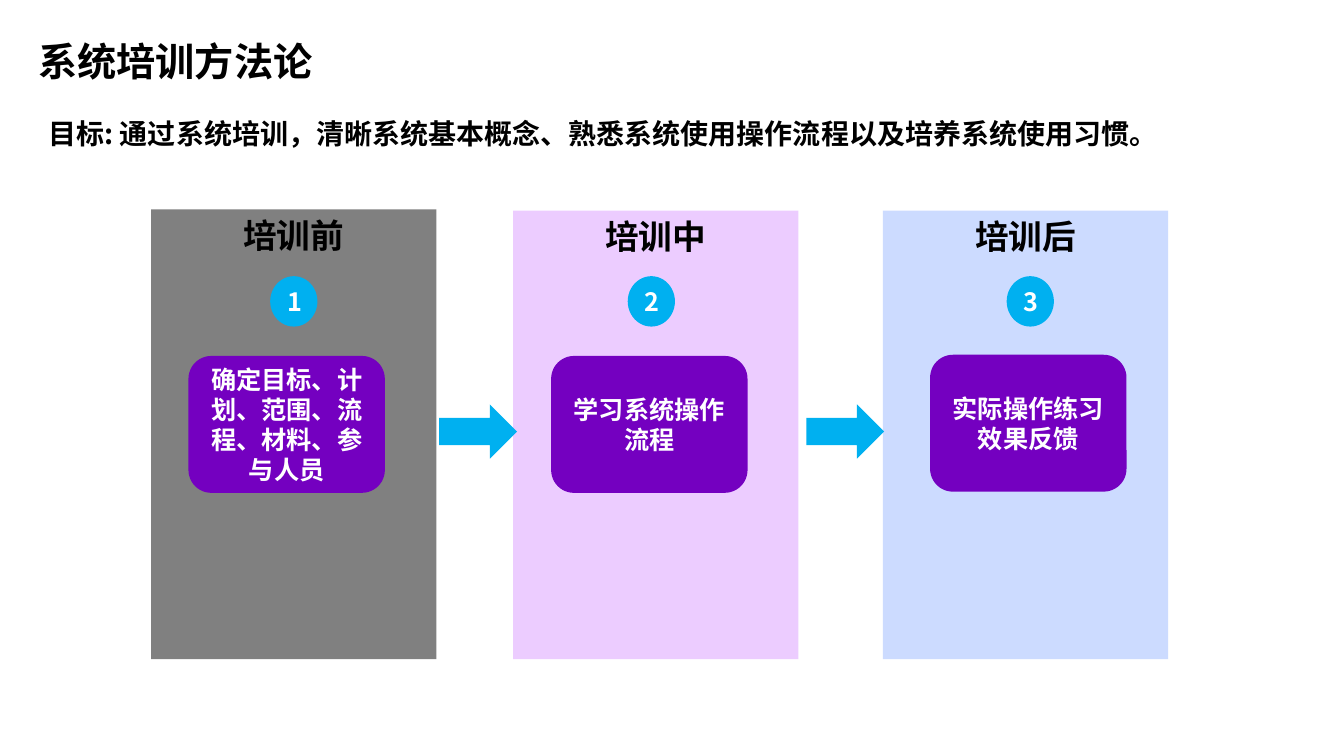
from typing import NamedTuple

from lxml import etree
from pptx import Presentation
from pptx.dml.color import RGBColor
from pptx.enum.shapes import MSO_SHAPE
from pptx.enum.text import MSO_ANCHOR, PP_ALIGN
from pptx.oxml.ns import qn
from pptx.shapes.autoshape import Shape
from pptx.slide import Slide
from pptx.text.text import TextFrame
from pptx.util import Cm, Pt

RECT = MSO_SHAPE.RECTANGLE
ROUND = MSO_SHAPE.ROUNDED_RECTANGLE
OVAL = MSO_SHAPE.OVAL
ARROW = MSO_SHAPE.RIGHT_ARROW
TOP, MIDDLE = MSO_ANCHOR.TOP, MSO_ANCHOR.MIDDLE
LEFT, CENTER = PP_ALIGN.LEFT, PP_ALIGN.CENTER

FACE = "Noto Sans CJK SC"
BLACK, WHITE = "000000", "FFFFFF"
PURPLE, BLUE = "7400C0", "00B0F0"
BASE = 16.61  # shared bottom edge of the panels


class Area(NamedTuple):
    """Left, top, width and height in centimetres."""
    x: float
    y: float
    w: float
    h: float


class Stage(NamedTuple):
    title: str
    task: str
    fill: str
    panel: tuple[float, float]
    dot: float
    card: tuple[float, float]


STAGES = [
    Stage("培训前", "确定目标、计划、范围、流程、材料、参与人员", "808080",
          (3.81, 5.28), 6.81, (4.75, 8.97)),
    Stage("培训中", "学习系统操作流程", "ECCCFF",
          (12.93, 5.31), 15.82, (13.89, 8.97)),
    Stage("培训后", "实际操作练习\n效果反馈", "CCDBFF",
          (22.25, 5.31), 25.37, (23.44, 8.94)),
]
ARROWS = [11.07, 20.32]


def color(code: str) -> RGBColor:
    return RGBColor.from_string(code)


def write(frame: TextFrame, text: str, size: float, ink: str,
          align: PP_ALIGN) -> None:
    frame.word_wrap = True
    frame.text = text
    for para in frame.paragraphs:
        para.alignment = align
        font = para.font
        font.size, font.bold, font.name = Pt(size), True, FACE
        font.color.rgb = color(ink)
        # Chinese glyphs take their typeface from a:ea
        props = para._p.pPr.find(qn("a:defRPr"))
        etree.SubElement(props, qn("a:ea")).set("typeface", FACE)


def block(slide: Slide, kind: MSO_SHAPE, area: Area, fill: str) -> Shape:
    shape = slide.shapes.add_shape(kind, *map(Cm, area))
    shape.shadow.inherit = False
    shape.fill.solid()
    shape.fill.fore_color.rgb = color(fill)
    shape.line.fill.background()
    return shape


def label(shape: Shape, text: str, size: float, ink: str,
          anchor: MSO_ANCHOR) -> None:
    shape.text_frame.vertical_anchor = anchor
    write(shape.text_frame, text, size, ink, CENTER)


def note(slide: Slide, area: Area, text: str, size: float) -> TextFrame:
    frame = slide.shapes.add_textbox(*map(Cm, area)).text_frame
    write(frame, text, size, BLACK, LEFT)
    return frame


def draw(slide: Slide, stage: Stage, number: int) -> None:
    x, y = stage.panel
    panel = block(slide, RECT, Area(x, y, 7.19, BASE - y), stage.fill)
    label(panel, stage.title, 24, BLACK, TOP)
    card = block(slide, ROUND, Area(*stage.card, 4.95, 3.45), PURPLE)
    label(card, stage.task, 18, WHITE, MIDDLE)
    dot = block(slide, OVAL, Area(stage.dot, 6.96, 1.19, 1.27), BLUE)
    label(dot, str(number), 18, WHITE, MIDDLE)


def main() -> None:
    deck = Presentation()
    deck.slide_width, deck.slide_height = Cm(33.87), Cm(19.05)
    slide = deck.slides.add_slide(deck.slide_layouts[6])

    for number, stage in enumerate(STAGES, 1):
        draw(slide, stage, number)
    for x in ARROWS:
        block(slide, ARROW, Area(x, 10.19, 1.96, 1.37), BLUE)

    note(slide, Area(0.97, 2.82, 28.83, 1.12),
         "目标: 通过系统培训，清晰系统基本概念、熟悉系统使用操作流程以及培养系统使用习惯。", 20)
    head = note(slide, Area(0.97, 0.91, 31.93, 1.22), "系统培训方法论", 28)
    head.margin_left = head.margin_right = head.margin_bottom = 0
    head.margin_top = Cm(0.03)

    deck.save("out.pptx")


if __name__ == "__main__":
    main()
